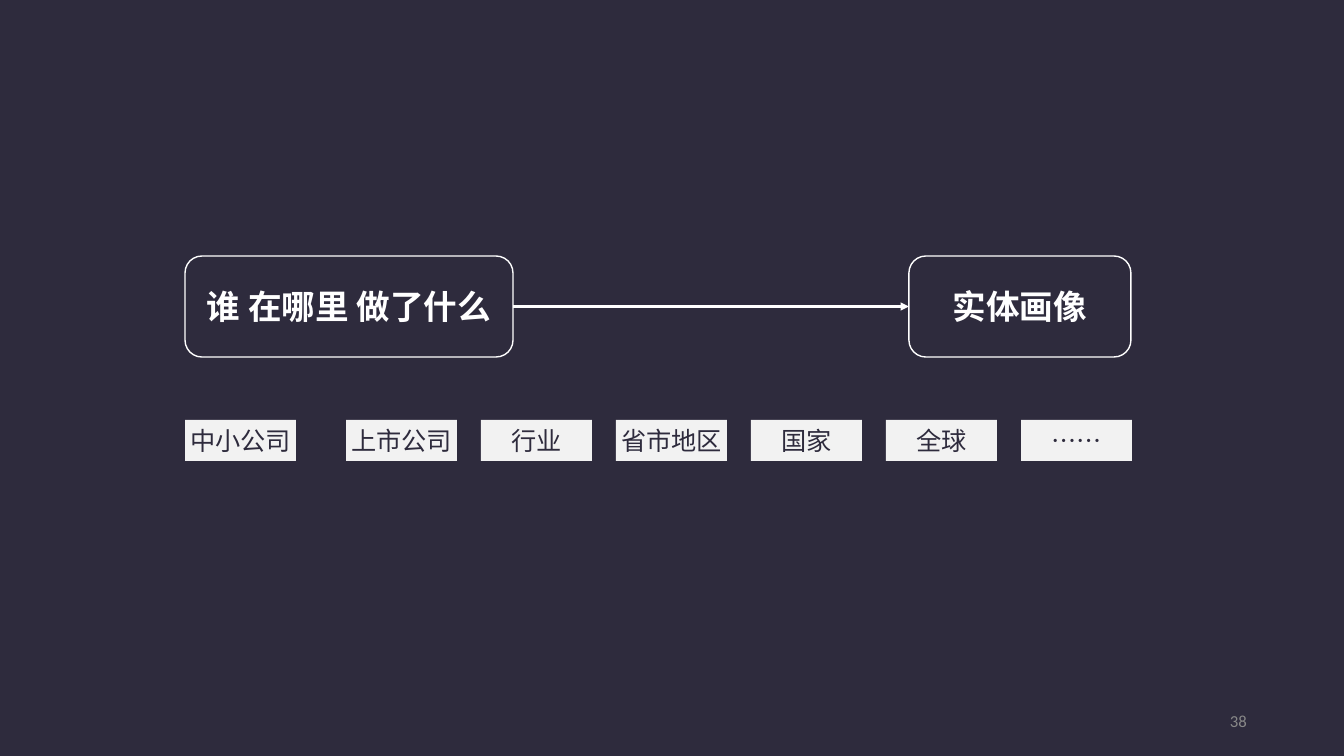
"""Build the slide linking who-did-what-where to entity portraits."""
from lxml import etree
from pptx import Presentation
from pptx import util as u
from pptx.dml.color import RGBColor
from pptx.enum import shapes, text
from pptx.oxml.ns import qn

SOURCE_BOX = ("谁 在哪里 做了什么", 185, 328)
PORTRAIT_BOX = ("实体画像", 909, 222)
FIRST_CHIP = "中小公司"
CHIP_ROW = ["上市公司", "行业", "省市地区", "国家", "全球", "……"]
PAGE = "38"

THEME = {
    "back": "2E2B3D", "white": "FFFFFF", "chip": "F2F2F2", "muted": "888888",
    "cjk": "Noto Sans CJK SC", "latin": "Calibri",
    "box_size": 24, "chip_size": 18, "page_size": 12,
}
SLIDE_W, SLIDE_H = 1344, 756
BOX_TOP, BOX_H = 256, 101
CHIP_TOP, CHIP_W, CHIP_H = 420, 111, 41
CHIP_LEFT, ROW_LEFT, CHIP_GAP = 185, 346, 24
PAD = 5


def px(n):
    return u.Emu(round(n * 914400 / 100.8))


def color(key):
    return RGBColor.from_string(THEME[key])


def write(s, words, ink, size, font="cjk", bold=False, pad=PAD,
          align=text.PP_ALIGN.CENTER, wrap=True):
    tf = s.text_frame
    frame = {"word_wrap": wrap, "vertical_anchor": text.MSO_ANCHOR.MIDDLE}
    frame.update({f"margin_{side}": px(pad) for side in ("left", "top", "right", "bottom")})
    for name, value in frame.items():
        setattr(tf, name, value)
    p = tf.paragraphs[0]
    p.alignment = align
    r = p.add_run()
    r.text = words
    for name, value in {"size": u.Pt(THEME[size]), "bold": bold, "name": THEME[font]}.items():
        setattr(r.font, name, value)
    r.font.color.rgb = color(ink)
    if font == "cjk":
        props = r.font._element
        props.set("lang", "zh-CN")
        etree.SubElement(props, qn("a:ea"), typeface=THEME[font])


def add_box(slide, words, left, width):
    s = slide.shapes.add_shape(shapes.MSO_SHAPE.ROUNDED_RECTANGLE,
                               px(left), px(BOX_TOP), px(width), px(BOX_H))
    s.shadow.inherit = False
    s.fill.background()
    s.line.color.rgb = color("white")
    s.line.width = u.Pt(1)
    write(s, words, "white", "box_size", bold=True, pad=0)


def add_arrow(slide, start, end, y):
    s = slide.shapes.add_connector(shapes.MSO_CONNECTOR.STRAIGHT,
                                   px(start), px(y), px(end), px(y))
    s.line.color.rgb = color("white")
    s.line.width = u.Pt(2)
    etree.SubElement(s.line._get_or_add_ln(), qn("a:tailEnd"), type="triangle")
    etree.SubElement(s._element.spPr, qn("a:effectLst"))


def add_chip(slide, words, left):
    s = slide.shapes.add_shape(shapes.MSO_SHAPE.RECTANGLE,
                               px(left), px(CHIP_TOP), px(CHIP_W), px(CHIP_H))
    s.shadow.inherit = False
    s.fill.solid()
    s.fill.fore_color.rgb = color("chip")
    s.line.fill.background()
    write(s, words, "back", "chip_size")


def main():
    prs = Presentation()
    prs.slide_width, prs.slide_height = px(SLIDE_W), px(SLIDE_H)
    slide = prs.slides.add_slide(prs.slide_layouts[6])
    slide.background.fill.solid()
    slide.background.fill.fore_color.rgb = color("back")

    for box in (SOURCE_BOX, PORTRAIT_BOX):
        add_box(slide, *box)
    add_arrow(slide, SOURCE_BOX[1] + SOURCE_BOX[2], PORTRAIT_BOX[1], BOX_TOP + BOX_H / 2)

    add_chip(slide, FIRST_CHIP, CHIP_LEFT)
    for i, words in enumerate(CHIP_ROW):
        add_chip(slide, words, ROW_LEFT + i * (CHIP_W + CHIP_GAP))

    page = slide.shapes.add_textbox(px(1223), px(706), px(29), px(29))
    write(page, PAGE, "muted", "page_size", font="latin",
          align=text.PP_ALIGN.RIGHT, wrap=False)
    prs.save("out.pptx")


if __name__ == "__main__":
    main()
